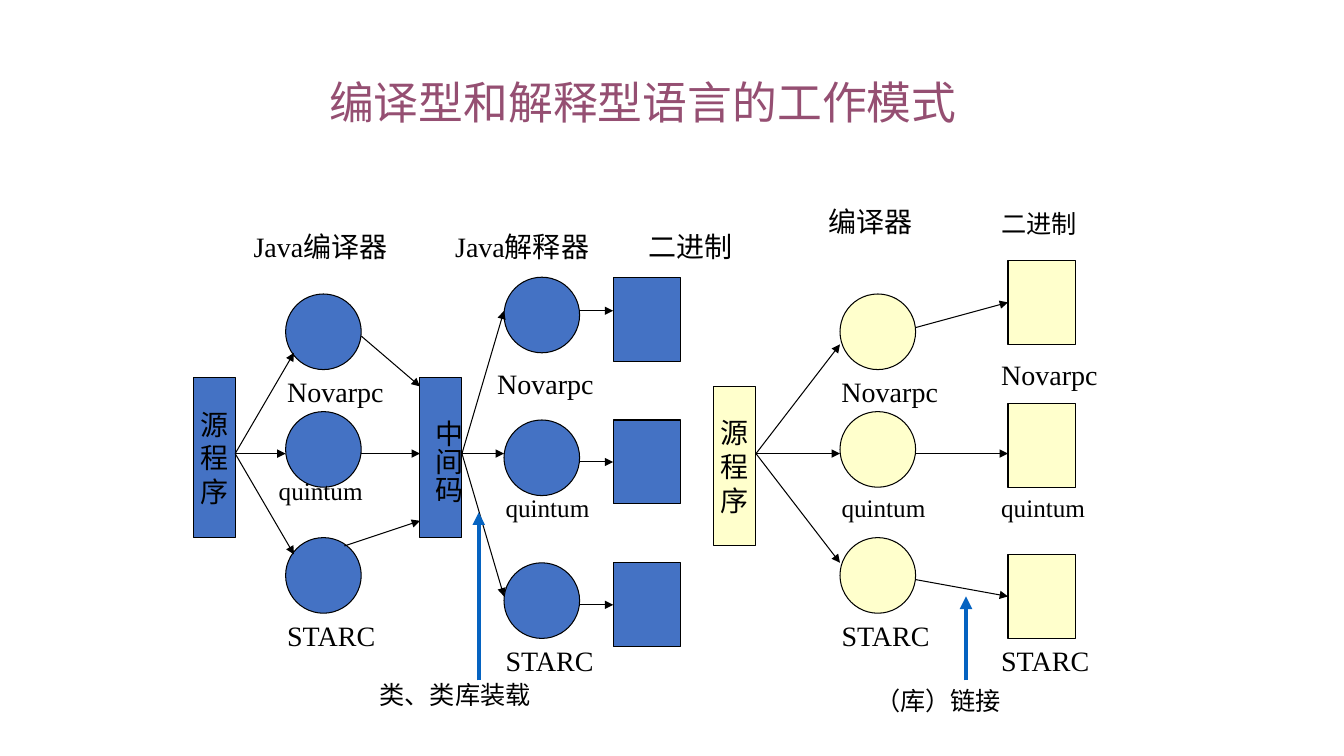
"""Build a slide comparing how compiled and interpreted languages work."""
import pptx
import pptx.dml.color
import pptx.enum.shapes
import pptx.enum.text
import pptx.util
from lxml import etree
from pptx.oxml.ns import qn

PX = 9525
BLUE, YELLOW, BLACK, ACCENT, PLUM = "4472C4", "FFFFCC", "000000", "0563C1", "954F72"
SERIF, SANS = "Times New Roman", "Noto Sans CJK SC"
RECT = pptx.enum.shapes.MSO_SHAPE.RECTANGLE
OVAL = pptx.enum.shapes.MSO_SHAPE.OVAL


def rgb(value):
    return pptx.dml.color.RGBColor.from_string(value)


def write(frame, text, size, font, color, wrap=False, align=None):
    frame.word_wrap = wrap
    frame.text = text
    for paragraph in frame.paragraphs:
        paragraph.alignment = align
        paragraph.font.size = pptx.util.Pt(size)
        paragraph.font.name = font
        paragraph.font.color.rgb = rgb(color)


deck = pptx.Presentation()
deck.slide_width, deck.slide_height = 1280 * PX, 720 * PX
slide = deck.slides.add_slide(deck.slide_layouts[6])

stages = [
    (RECT, 184, [360], 40, 152, BLUE, "源\n程\n序"),
    (OVAL, 272, [280, 392, 512], 72, 72, BLUE, ""),
    (RECT, 400, [360], 40, 152, BLUE, ""),
    (OVAL, 480, [264, 400, 536], 72, 72, BLUE, ""),
    (RECT, 584, [264, 400, 536], 64, 80, BLUE, ""),
    (RECT, 680, [368], 40, 152, YELLOW, "源\n程\n序"),
    (OVAL, 800, [280, 392, 512], 72, 72, YELLOW, ""),
    (RECT, 960, [248, 384, 528], 64, 80, YELLOW, ""),
]
left_middles = {}
for kind, left, tops, width, height, fill, text in stages:
    for top in tops:
        stage = slide.shapes.add_shape(kind, left * PX, top * PX, width * PX, height * PX)
        stage.shadow.inherit = False
        stage.fill.solid()
        stage.fill.fore_color.rgb = rgb(fill)
        stage.line.color.rgb = rgb(BLACK)
        stage.line.width = pptx.util.Pt(0.75)
        if text:
            stage.text_frame.vertical_anchor = pptx.enum.text.MSO_ANCHOR.MIDDLE
            write(stage.text_frame, text, 20, SERIF, BLACK,
                  align=pptx.enum.text.PP_ALIGN.CENTER)
        if kind == RECT:
            left_middles[left, top + height // 2] = stage

flows = [
    (224, 432, 272, 432), (224, 432, 280, 336), (224, 432, 280, 528),
    (344, 320, 400, 368), (344, 432, 400, 432), (328, 520, 400, 496),
    (440, 432, 480, 296), (440, 432, 480, 432), (440, 432, 480, 568),
    (552, 296, 584, 296), (552, 440, 584, 440), (552, 576, 584, 576),
    (720, 432, 800, 328), (720, 432, 800, 432), (720, 432, 800, 536),
    (872, 312, 960, 288), (872, 432, 960, 432), (872, 552, 960, 568),
]
library_pointers = [(456, 648, 456, 488), (920, 648, 920, 568)]
for route in flows + library_pointers:
    arrow = slide.shapes.add_connector(
        pptx.enum.shapes.MSO_CONNECTOR.STRAIGHT, *[value * PX for value in route])
    pointing = route in library_pointers
    arrow.line.color.rgb = rgb(ACCENT if pointing else BLACK)
    arrow.line.width = pptx.util.Pt(3 if pointing else 0.75)
    etree.SubElement(arrow.line._get_or_add_ln(), qn("a:tailEnd"), type="triangle")
    etree.SubElement(arrow._element.spPr, qn("a:effectLst"))
    if route[2:] in left_middles:
        arrow.end_connect(left_middles[route[2:]], 1)

labels = [
    ("编译型和解释型语言的工作模式", 304, 66, 619, 60, 32, SANS, PLUM),
    ("Java编译器", 232, 214, 150, 41, 20, SERIF, BLACK),
    ("Java解释器", 424, 214, 150, 41, 20, SERIF, BLACK),
    ("二进制", 608, 214, 106, 41, 20, SERIF, BLACK),
    ("编译器", 780, 190, 106, 41, 20, SERIF, BLACK),
    ("二进制", 944, 194, 94, 38, 18, SERIF, BLACK),
    ("中间码", 396, 390, 52, 90, 20, SERIF, BLACK),
    ("类、类库装载", 352, 642, 165, 38, 18, SANS, BLACK),
    ("（库）链接", 824, 648, 140, 38, 18, SANS, BLACK),
]
processors = [("Novarpc", 113, 42, 20), ("quintum", 99, 38, 18), ("STARC", 103, 42, 20)]
processor_spots = [
    [(264, 352), (256, 448), (264, 584)],
    [(464, 344), (472, 464), (472, 608)],
    [(792, 352), (792, 464), (792, 584)],
    [(944, 336), (944, 464), (944, 608)],
]
for spots in processor_spots:
    for (name, width, height, size), (left, top) in zip(processors, spots):
        labels.append((name, left, top, width, height, size, SERIF, BLACK))

for text, left, top, width, height, size, font, color in labels:
    label = slide.shapes.add_textbox(left * PX, top * PX, width * PX, height * PX)
    write(label.text_frame, text, size, font, color, wrap=text.startswith("Java"))
    label.text_frame.auto_size = pptx.enum.text.MSO_AUTO_SIZE.SHAPE_TO_FIT_TEXT
    if text == "中间码":
        label.text_frame._txBody.bodyPr.set("vert", "eaVert")

deck.save("out.pptx")
